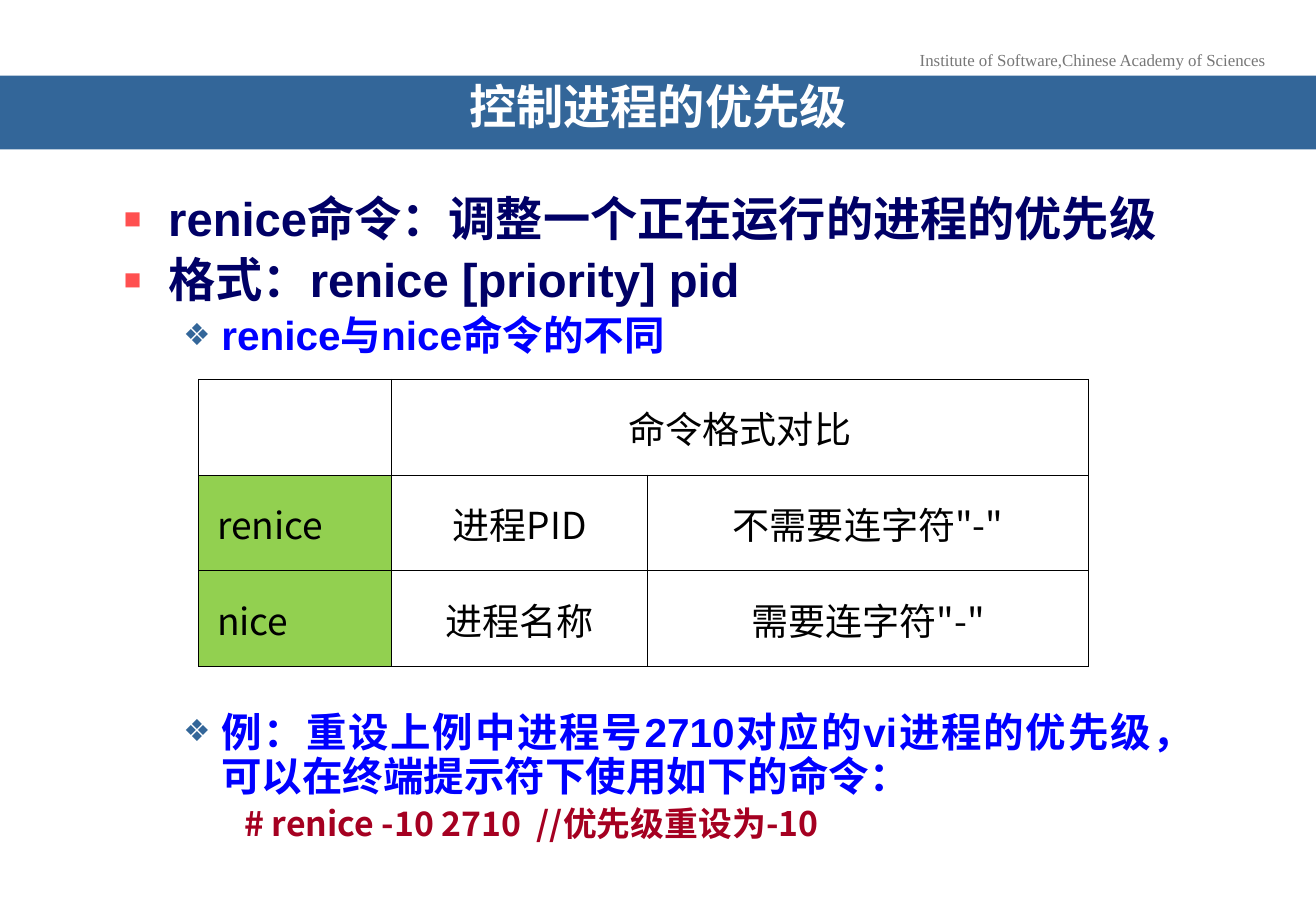
from lxml import etree
from pptx import Presentation
from pptx.dml.color import RGBColor
from pptx.enum.text import MSO_ANCHOR, MSO_AUTO_SIZE, PP_ALIGN
from pptx.oxml.ns import qn
from pptx.util import Pt

CENTER, LEFT, JUSTIFY = PP_ALIGN.CENTER, PP_ALIGN.LEFT, PP_ALIGN.JUSTIFY
TOP, MIDDLE = MSO_ANCHOR.TOP, MSO_ANCHOR.MIDDLE
NO_FIT = MSO_AUTO_SIZE.NONE
CJK, SANS, SERIF = "Noto Sans CJK SC", "Arial", "Times New Roman"
COLORS = {
    "bar": "336699", "white": "FFFFFF", "gray": "777777", "navy": "000066",
    "blue": "0000FF", "red": "A50021", "coral": "FF5050", "green": "92D050",
    "black": "000000",
}
SQUARE = ("▪", "coral", 120)
DIAMOND = ("❖", "bar", 75)
LINE_RATIO = 1.09
BULLETS = [
    ("renice命令：调整一个正在运行的进程的优先级",
     dict(size=28, color="navy", indent=(27, -27), bullet=SQUARE)),
    ("格式：renice [priority] pid",
     dict(size=28, color="navy", indent=(27, -27), bullet=SQUARE, before=5.6)),
    ("renice与nice命令的不同",
     dict(size=24, color="blue", indent=(58.5, -22.5), bullet=DIAMOND, level=1, before=4.8)),
    ("例：重设上例中进程号2710对应的vi进程的优先级，可以在终端提示符下使用如下的命令：",
     dict(size=24, color="blue", indent=(58.5, -22.5), bullet=DIAMOND, level=1, before=209)),
    ("# renice -10 2710  //优先级重设为-10",
     dict(size=20, color="red", indent=(72, 0), font=CJK, level=2, before=4)),
]
ROWS = [
    ["", "命令格式对比", ""],
    ["renice", "进程PID", '不需要连字符"-"'],
    ["nice", "进程名称", '需要连字符"-"'],
]


def rgb(name):
    """Return the named colour."""
    return RGBColor.from_string(COLORS[name])


def write(para, text, size=22, font=CJK, color="black", bold=False, align=CENTER, spacing=None):
    """Write formatted text into a paragraph."""
    para.alignment = align
    if spacing is not None:
        para.line_spacing = spacing
    span = para.add_run()
    span.text = text
    span.font.size = Pt(size)
    span.font.name = font
    span.font.bold = bold
    span.font.color.rgb = rgb(color)
    east = etree.SubElement(span.font._element, qn("a:ea"))
    east.set("typeface", CJK)


def set_bullet(para, bullet, indent):
    """Set the hanging indent and bullet of a paragraph."""
    properties = para._p.get_or_add_pPr()
    properties.set("marL", str(Pt(indent[0])))
    properties.set("indent", str(Pt(indent[1])))
    if bullet is None:
        etree.SubElement(properties, qn("a:buNone"))
        return
    symbol, color, percent = bullet
    tint = etree.SubElement(properties, qn("a:buClr"))
    etree.SubElement(tint, qn("a:srgbClr")).set("val", COLORS[color])
    etree.SubElement(properties, qn("a:buSzPct")).set("val", str(percent * 1000))
    etree.SubElement(properties, qn("a:buChar")).set("char", symbol)


def place(shape, left, top, width, height):
    """Move a shape to the given box."""
    shape.left, shape.top = Pt(left), Pt(top)
    shape.width, shape.height = Pt(width), Pt(height)


def add_header(page, left, top, width, height):
    """Add the institute line above the title bar."""
    box = page.shapes.add_textbox(Pt(left), Pt(top), Pt(width), Pt(height))
    box.text_frame.word_wrap = False
    write(box.text_frame.paragraphs[0], "Institute of Software,Chinese Academy of Sciences",
          size=10, font=SERIF, color="gray")


def fill_title(page, left, top, width, height):
    """Turn the title placeholder into the title bar."""
    title = page.shapes.title
    place(title, left, top, width, height)
    title.fill.solid()
    title.fill.fore_color.rgb = rgb("bar")
    frame = title.text_frame
    frame.auto_size = NO_FIT
    frame.vertical_anchor = MIDDLE
    frame.margin_left = frame.margin_right = Pt(22.5)
    write(frame.paragraphs[0], "控制进程的优先级", size=28, color="white", bold=True, spacing=0.7)


def fill_body(page, left, top, width, height):
    """Fill the body placeholder with the bullet list."""
    body = page.placeholders[1]
    place(body, left, top, width, height)
    frame = body.text_frame
    frame.auto_size = NO_FIT
    frame.vertical_anchor = TOP
    for index, (text, style) in enumerate(BULLETS):
        para = frame.add_paragraph() if index else frame.paragraphs[0]
        set_bullet(para, style.get("bullet"), style["indent"])
        para.level = style.get("level", 0)
        para.space_before = Pt(style.get("before", 0))
        write(para, text, size=style["size"], color=style["color"], bold=True,
              font=style.get("font", SANS), align=JUSTIFY,
              spacing=Pt(style["size"] * LINE_RATIO))


def add_borders(cell):
    """Draw a thin black line on every side of a cell."""
    properties = cell._tc.get_or_add_tcPr()
    for index, side in enumerate(("lnL", "lnR", "lnT", "lnB")):
        line = etree.Element(qn("a:" + side), w=str(Pt(0.5)))
        fill = etree.SubElement(line, qn("a:solidFill"))
        etree.SubElement(fill, qn("a:srgbClr")).set("val", COLORS["black"])
        properties.insert(index, line)


def add_comparison(page, left, top, width, height):
    """Add the table that compares renice with nice."""
    frame = page.shapes.add_table(3, 3, Pt(left), Pt(top), Pt(width), Pt(height))
    table = frame.table
    table.first_row = table.horz_banding = False
    for column, share in zip(table.columns, (0.217, 0.288, 0.495)):
        column.width = Pt(width * share)
    for row_index, texts in enumerate(ROWS):
        for column_index, text in enumerate(texts):
            cell = table.cell(row_index, column_index)
            label = row_index > 0 and column_index == 0
            cell.vertical_anchor = MIDDLE
            cell.margin_left = Pt(11 if label else 0.72)
            cell.margin_right = cell.margin_top = Pt(0.72)
            cell.margin_bottom = Pt(0)
            cell.fill.solid()
            cell.fill.fore_color.rgb = rgb("green" if label else "white")
            add_borders(cell)
            if text:
                write(cell.text_frame.paragraphs[0], text, align=LEFT if label else CENTER)
    table.cell(0, 1).merge(table.cell(0, 2))


def main():
    """Build and save the slide."""
    deck = Presentation()
    deck.slide_width, deck.slide_height = Pt(780), Pt(540)
    page = deck.slides.add_slide(deck.slide_layouts[1])
    add_header(page, 537, 26, 221, 19.5)
    fill_title(page, 0, 44.75, 780, 43.75)
    fill_body(page, 65.5, 111.6, 649, 113)
    add_comparison(page, 117.75, 224.75, 527.25, 170.25)
    deck.save("out.pptx")


if __name__ == "__main__":
    main()
